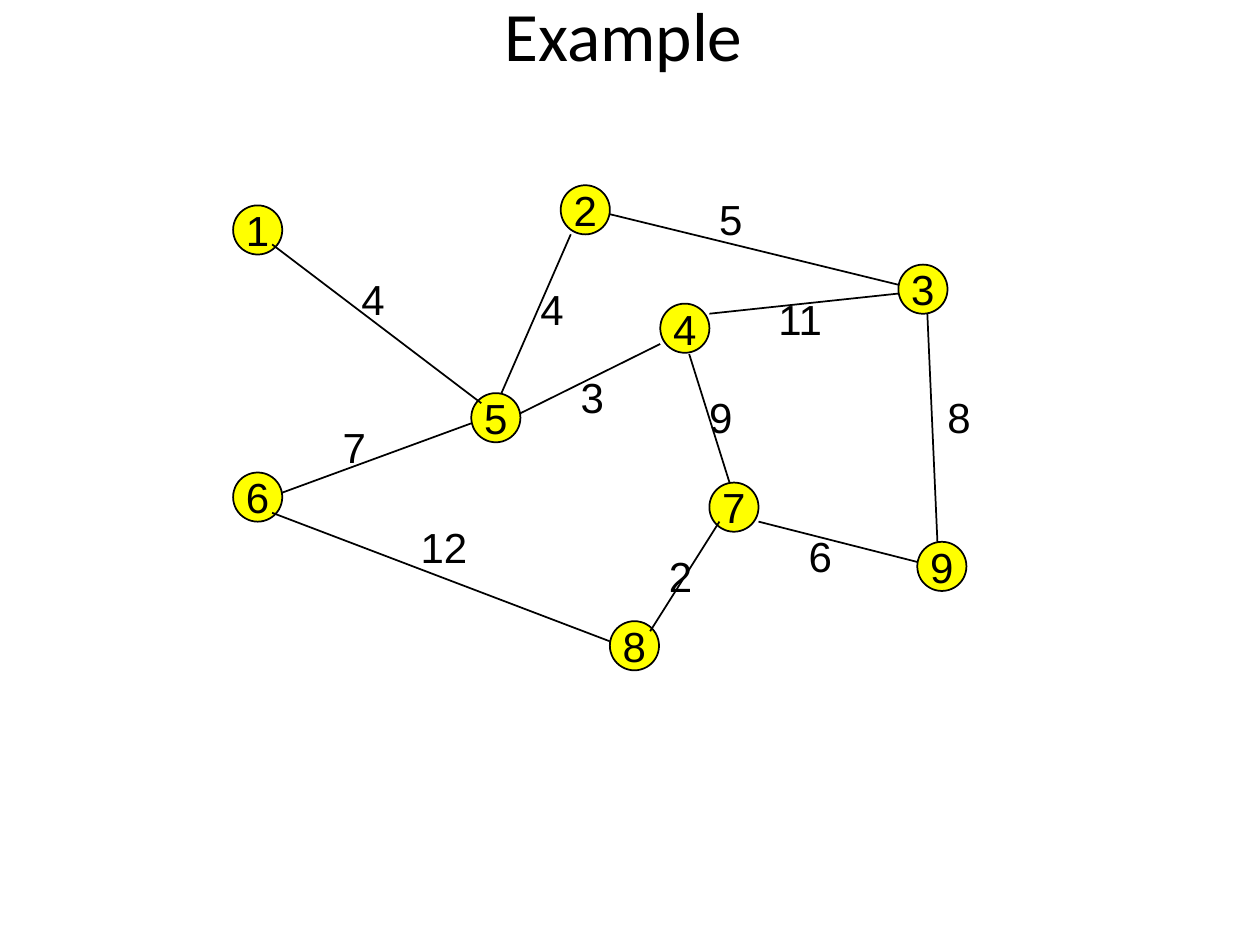
from dataclasses import dataclass

from lxml.etree import SubElement
from pptx import Presentation
from pptx.dml.color import RGBColor
from pptx.enum.shapes import MSO_CONNECTOR, MSO_SHAPE
from pptx.enum.text import MSO_ANCHOR, MSO_AUTO_SIZE, PP_ALIGN
from pptx.oxml.ns import qn
from pptx.util import Inches, Pt


@dataclass(frozen=True)
class Theme:
    ink: RGBColor = RGBColor(0, 0, 0)
    node_fill: RGBColor = RGBColor(255, 255, 0)
    title_font: str = "Calibri"
    graph_font: str = "Arial"
    title_size: float = 39.6
    graph_size: float = 24
    line_width: float = 1


THEME = Theme()
TITLE = "Example"
NODE_SIZE = 0.39
LABEL_HEIGHT = 0.5
LABEL_WIDTHS = {1: 0.39, 2: 0.57}  # by number of digits

# Node name: left, top
NODES = {
    "1": (1.85, 1.63), "6": (1.85, 3.75), "2": (4.45, 1.47),
    "5": (3.74, 3.12), "4": (5.24, 2.41), "3": (7.13, 2.1),
    "8": (4.84, 4.93), "9": (7.28, 4.3), "7": (5.63, 3.83),
}

# Weight, line start, line end, left and top of the weight label
EDGES = [
    ("4", (2.16, 1.94), (3.82, 3.2), (2.77, 2.12)),
    ("12", (2.16, 4.07), (4.84, 5.09), (3.24, 4.09)),
    ("3", (4.13, 3.28), (5.24, 2.73), (4.51, 2.9)),
    ("9", (5.47, 2.81), (5.79, 3.83), (5.53, 3.06)),
    ("5", (4.84, 1.7), (7.13, 2.26), (5.61, 1.49)),
    ("8", (7.36, 2.49), (7.44, 4.3), (7.42, 3.06)),
    ("7", (3.74, 3.36), (2.24, 3.91), (2.62, 3.3)),
    ("11", (5.63, 2.49), (7.13, 2.33), (6.08, 2.28)),
    ("6", (6.02, 4.14), (7.28, 4.46), (6.32, 4.16)),
    ("4", (4.53, 1.86), (3.98, 3.12), (4.19, 2.2)),
    ("2", (5.71, 4.14), (5.16, 5.01), (5.21, 4.32)),
]


def write(frame, text, font, size, align):
    para = frame.paragraphs[0]
    para.alignment = align
    span = para.add_run()
    span.text = text
    span.font.name = font
    span.font.size = Pt(size)
    span.font.color.rgb = THEME.ink


def style_line(line):
    line.color.rgb = THEME.ink
    line.width = Pt(THEME.line_width)


def add_title(page):
    title = page.shapes.title
    title.left, title.top = Inches(0.42), Inches(0)
    title.width, title.height = Inches(9.06), Inches(0.54)
    frame = title.text_frame
    frame.auto_size = MSO_AUTO_SIZE.NONE
    frame.vertical_anchor = MSO_ANCHOR.MIDDLE
    write(frame, TITLE, THEME.title_font, THEME.title_size, PP_ALIGN.CENTER)


def add_node(graph, name, left, top):
    node = graph.shapes.add_shape(MSO_SHAPE.OVAL, Inches(left), Inches(top),
                                  Inches(NODE_SIZE), Inches(NODE_SIZE))
    node.shadow.inherit = False
    node.fill.solid()
    node.fill.fore_color.rgb = THEME.node_fill
    style_line(node.line)
    frame = node.text_frame
    frame.word_wrap = False
    frame.vertical_anchor = MSO_ANCHOR.MIDDLE
    write(frame, name, THEME.graph_font, THEME.graph_size, PP_ALIGN.CENTER)


def add_edge(graph, start, end):
    edge = graph.shapes.add_connector(MSO_CONNECTOR.STRAIGHT,
                                      *map(Inches, start + end))
    style_line(edge.line)
    SubElement(edge._element.spPr, qn("a:effectLst"))


def add_weight(graph, weight, left, top):
    box = graph.shapes.add_textbox(Inches(left), Inches(top),
                                   Inches(LABEL_WIDTHS[len(weight)]),
                                   Inches(LABEL_HEIGHT))
    frame = box.text_frame
    frame.word_wrap = False
    frame.auto_size = MSO_AUTO_SIZE.SHAPE_TO_FIT_TEXT
    write(frame, weight, THEME.graph_font, THEME.graph_size, PP_ALIGN.LEFT)


def main():
    deck = Presentation()
    deck.slide_width, deck.slide_height = Inches(10), Inches(7.5)
    page = deck.slides.add_slide(deck.slide_layouts[5])
    add_title(page)

    # Weighted graph: nodes, then edges, then weights
    graph = page.shapes.add_group_shape()
    for name, (left, top) in NODES.items():
        add_node(graph, name, left, top)
    for _, start, end, _ in EDGES:
        add_edge(graph, start, end)
    for weight, _, _, (left, top) in EDGES:
        add_weight(graph, weight, left, top)

    deck.save("out.pptx")


if __name__ == "__main__":
    main()
